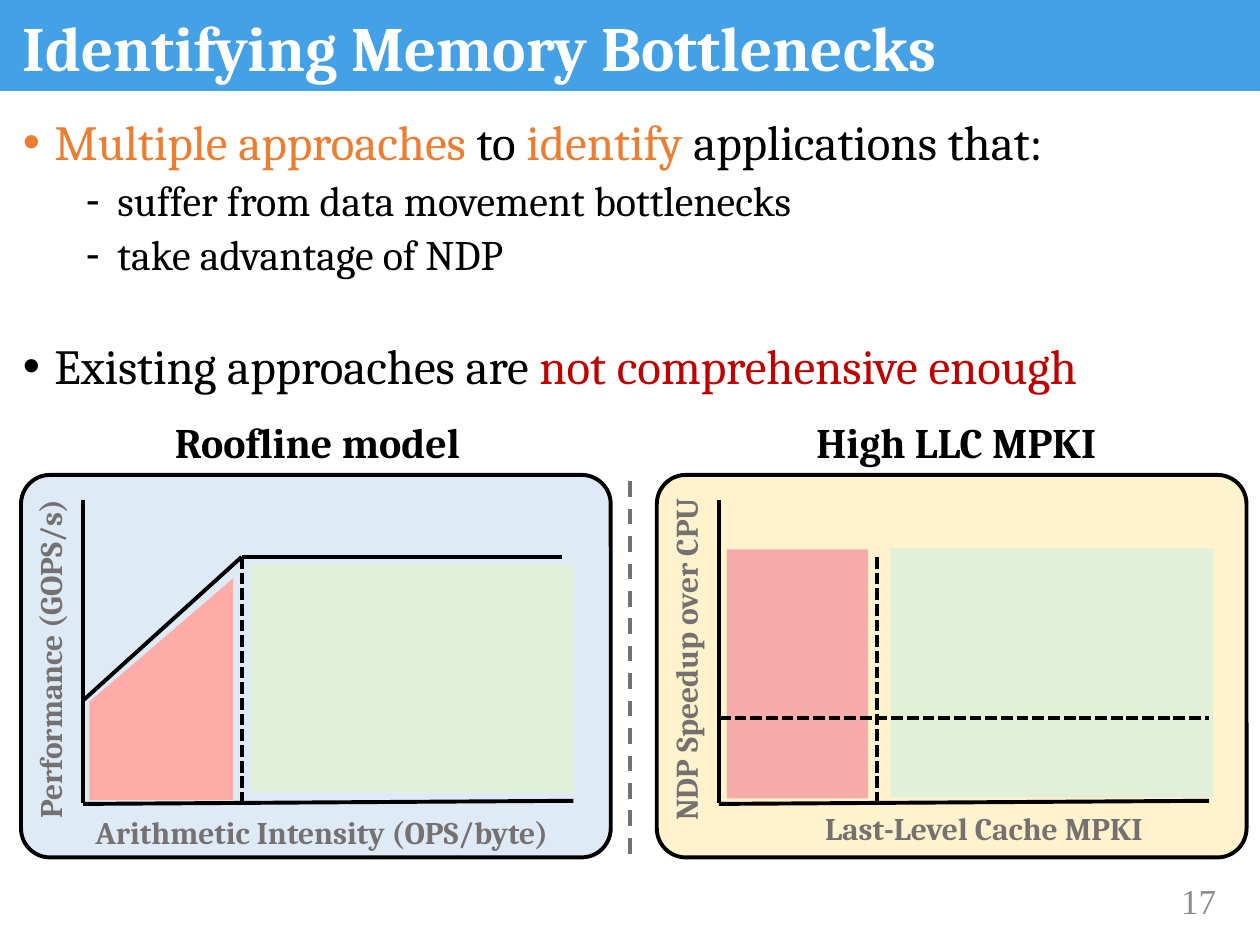
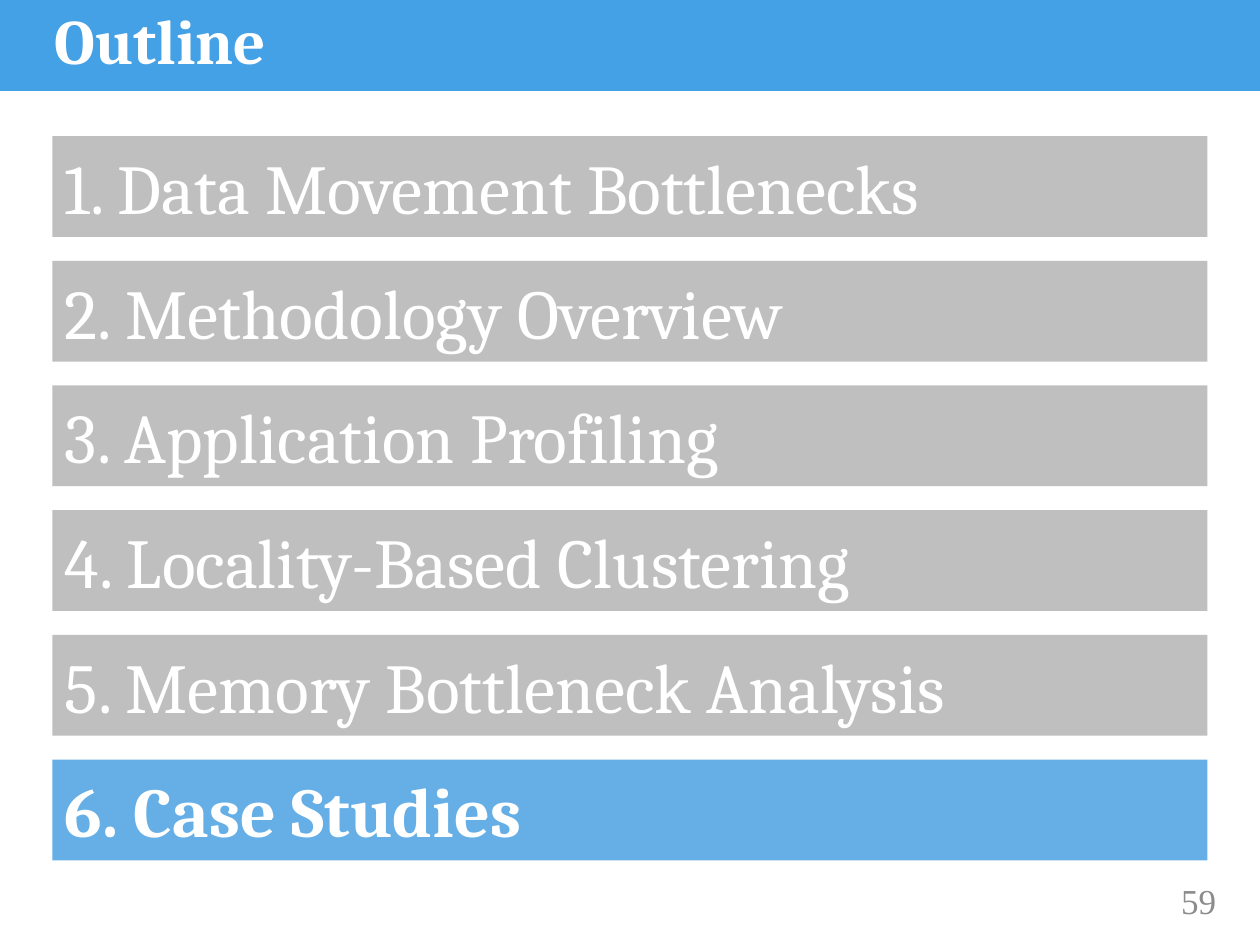
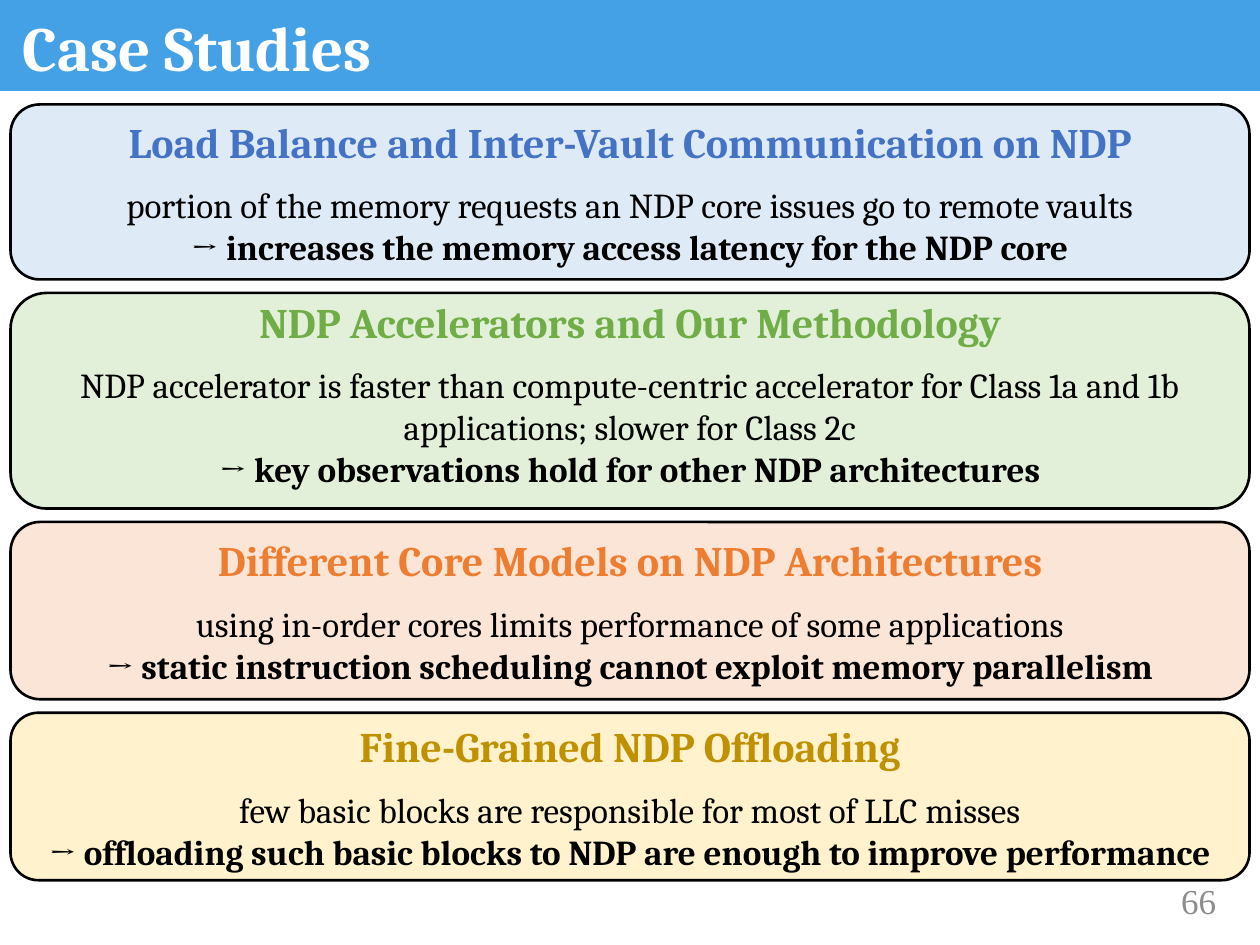
from lxml.etree import SubElement
from pptx import Presentation
from pptx.dml.color import RGBColor
from pptx.enum.dml import MSO_LINE_DASH_STYLE as DASH
from pptx.enum.shapes import MSO_CONNECTOR, MSO_SHAPE as SHAPE
from pptx.enum.text import MSO_ANCHOR as ANCHOR, MSO_AUTO_SIZE as AUTO, PP_ALIGN as ALIGN
from pptx.oxml.ns import qn
from pptx.util import Pt

COLORS = {
    "band": "45A1E6", "white": "FFFFFF", "black": "000000", "page": "8C8C8C",
    "label": "767171", "orange": "ED7D31", "alert": "C00000", "done": "BFBFBF",
    "current": "65AFE6", "blue": "4472C4", "green": "70AD47", "gold": "BF9000",
    "pale_blue": "DEEBF7", "pale_green": "E2F0D9", "pale_orange": "FBE5D6",
    "pale_gold": "FFF2CC", "red": "FFACA9", "rose": "F5ACA9",
}
FONT = "Cambria"

BULLETS = [
    ("•", 28, 18, 0, [("Multiple approaches", "orange"), (" to ", "black"),
                      ("identify", "orange"), (" applications that:", "black")]),
    ("-", 24, 54, 5, [("suffer from data movement bottlenecks", "black")]),
    ("-", 24, 54, 5, [("take advantage of NDP", "black")]),
    ("•", 28, 18, 36, [("Existing approaches are ", "black"),
                       ("not comprehensive enough", "alert")]),
]

PLOT_STEP = 363.3
PLOT_LINES = [
    ((47.5, 286), (47.5, 458.7), None),
    ((47.5, 459.4), (327.6, 457.6), None),
    ((138.1, 318.3), (138.1, 458.7), DASH.SQUARE_DOT),
]
PLOTS = [
    {
        "fill": "pale_blue",
        "title": ("Roofline model", 92.9, 188.6),
        "x_label": ("Arithmetic Intensity (OPS/byte)", 47.5, 460.8, 280.8),
        "y_label": ("Performance (GOPS/s)", 203.8),
        "areas": [
            ("pale_green", [(143.3, 322.6), (327.6, 452.9)]),
            ("red", [(51.1, 401), (133.2, 330.5), (133.2, 457.2), (51.1, 457.2)]),
        ],
        "lines": [
            ((47.5, 400.3), (138.1, 318.3), None),
            ((138.1, 318.3), (321.1, 318.3), None),
        ],
    },
    {
        "fill": "pale_gold",
        "title": ("High LLC MPKI", 96.1, 182.9),
        "x_label": ("Last-Level Cache MPKI", 101.1, 458.7, 201.6),
        "y_label": ("NDP Speedup over CPU", 206),
        "areas": [
            ("pale_green", [(145.7, 313.2), (330, 455.8)]),
            ("rose", [(52.1, 313.9), (132.8, 456.2)]),
        ],
        "lines": [((47.5, 410.4), (327.6, 410.4), DASH.SQUARE_DOT)],
    },
]

OUTLINE = ["Data Movement Bottlenecks", "Methodology Overview", "Application Profiling",
           "Locality-Based Clustering", "Memory Bottleneck Analysis", "Case Studies"]
CURRENT = 6

CASES = [
    ("Load Balance and Inter-Vault Communication on NDP", "blue", "pale_blue", 100, 0,
     "portion of the memory requests an NDP core issues go to remote vaults",
     "increases the memory access latency for the NDP core"),
    ("NDP Accelerators and Our Methodology", "green", "pale_green", 123.2, 9,
     "NDP accelerator is faster than compute-centric accelerator for Class 1a and 1b "
     "applications; slower for Class 2c",
     "key observations hold for other NDP architectures"),
    ("Different Core Models on NDP Architectures", "orange", "pale_orange", 101.3, 0,
     "using in-order cores limits performance of some applications",
     "static instruction scheduling cannot exploit memory parallelism"),
    ("Fine-Grained NDP Offloading", "gold", "pale_gold", 95.7, 0,
     "few basic blocks are responsible for most of LLC misses",
     "offloading such basic blocks to NDP are enough to improve performance"),
]
CASE_TOP, CASE_GAP = 59.7, 7.7


def rgb(name):
    return RGBColor.from_string(COLORS[name])


def add_run(p, text, size, color, bold=False, font=FONT):
    r = p.add_run()
    r.text = text
    r.font.size, r.font.name, r.font.bold = Pt(size), font, bold
    r.font.color.rgb = rgb(color)


def paint(sp, fill, line=None):
    sp.shadow.inherit = False
    sp.fill.solid()
    sp.fill.fore_color.rgb = rgb(fill)
    if line:
        sp.line.color.rgb = rgb("black")
        sp.line.width = Pt(line)
    else:
        sp.line.fill.background()
    return sp


def add_box(s, kind, box, fill, line=None):
    return paint(s.shapes.add_shape(kind, *map(Pt, box)), fill, line)


def add_text(s, box, wrap=True):
    sp = s.shapes.add_textbox(*map(Pt, box))
    sp.text_frame.word_wrap = wrap
    return sp


def add_label(s, text, box, size, color, rotation=0):
    sp = add_text(s, box, wrap=False)
    sp.text_frame.auto_size = AUTO.SHAPE_TO_FIT_TEXT
    sp.rotation = rotation
    add_run(sp.text_frame.paragraphs[0], text, size, color, True)


def add_line(s, start, end, dash=None, color="black"):
    c = s.shapes.add_connector(MSO_CONNECTOR.STRAIGHT, *map(Pt, start + end))
    c.line.color.rgb = rgb(color)
    c.line.width = Pt(2.25)
    if dash:
        c.line.dash_style = dash
    SubElement(c._element.spPr, qn("a:effectLst"))


def add_area(s, fill, points, dx):
    points = [(x + dx, y) for x, y in points]
    if len(points) == 2:
        (x1, y1), (x2, y2) = points
        add_box(s, SHAPE.RECTANGLE, (x1, y1, x2 - x1, y2 - y1), fill)
    else:
        points = [(Pt(x), Pt(y)) for x, y in points]
        fb = s.shapes.build_freeform(*points[0])
        fb.add_line_segments(points[1:])
        paint(fb.convert_to_shape(), fill)


def paragraphs(tf, count):
    return [tf.paragraphs[0]] + [tf.add_paragraph() for _ in range(count - 1)]


def add_slide(prs, title, page, title_box=(6, 6, 708, 58)):
    s = prs.slides.add_slide(prs.slide_layouts[6])
    add_box(s, SHAPE.RECTANGLE, (0, -2, 720, 54), "band")
    p = add_text(s, title_box).text_frame.paragraphs[0]
    p.line_spacing = 0.9
    add_run(p, title, 36, "white", True)
    tf = add_text(s, (624, 500.4, 78, 28.8)).text_frame
    tf.vertical_anchor = ANCHOR.MIDDLE
    p = tf.paragraphs[0]
    p.alignment = ALIGN.RIGHT
    add_run(p, str(page), 20, "page", font="Times New Roman")
    return s


def add_bullets(s):
    tf = add_text(s, (6, 64, 708, 106)).text_frame
    for p, (mark, size, indent, before, runs) in zip(paragraphs(tf, len(BULLETS)), BULLETS):
        pPr = p._p.get_or_add_pPr()
        pPr.set("marL", str(Pt(indent)))
        pPr.set("indent", str(Pt(-18)))
        SubElement(pPr, qn("a:buFont")).set("typeface", "Arial")
        SubElement(pPr, qn("a:buChar")).set("char", mark)
        p.line_spacing = 0.9
        if before:
            p.space_before = Pt(before)
        for text, color in runs:
            add_run(p, text, size, color)


def add_plot(s, plot, dx):
    sp = add_box(s, SHAPE.ROUNDED_RECTANGLE, (12 + dx, 271.4, 337, 218.6), plot["fill"], 2.25)
    sp.adjustments[0] = 0.076
    for fill, points in plot["areas"]:
        add_area(s, fill, points, dx)
    for (x1, y1), (x2, y2), dash in PLOT_LINES + plot["lines"]:
        add_line(s, (x1 + dx, y1), (x2 + dx, y2), dash)
    text, x, w = plot["title"]
    add_label(s, text, (x + dx, 234.7, w, 36), 24, "black")
    text, x, y, w = plot["x_label"]
    add_label(s, text, (x + dx, y, w, 28.8), 18, "label")
    text, w = plot["y_label"]
    add_label(s, text, (28.4 + dx - w / 2, 358.6, w, 28.8), 18, "label", 270)


def bottlenecks(prs):
    s = add_slide(prs, "Identifying Memory Bottlenecks", 17)
    add_bullets(s)
    for i, plot in enumerate(PLOTS):
        add_plot(s, plot, i * PLOT_STEP)
    add_line(s, (360, 275), (360, 488), DASH.DASH, "label")


def outline(prs):
    s = add_slide(prs, "Outline", 59, (24, 2, 648, 70))
    for i, text in enumerate(OUTLINE):
        current = i + 1 == CURRENT
        sp = add_box(s, SHAPE.RECTANGLE, (30, 77.8 + 71.25 * i, 660, 57.6),
                     "current" if current else "done")
        tf = sp.text_frame
        tf.vertical_anchor = ANCHOR.MIDDLE
        tf.paragraphs[0].alignment = ALIGN.LEFT
        add_run(tf.paragraphs[0], f"{i + 1}. {text}", 40, "white", current)


def case_studies(prs):
    s = add_slide(prs, "Case Studies", 66)
    top = CASE_TOP
    for title, color, fill, height, lift, finding, result in CASES:
        sp = add_box(s, SHAPE.ROUNDED_RECTANGLE, (6, top, 708, height), fill, 1.5)
        top += height + CASE_GAP
        tf = sp.text_frame
        tf.word_wrap = True
        tf.vertical_anchor = ANCHOR.MIDDLE
        tf.margin_bottom = Pt(3.6 + lift)
        head, body, end = ps = paragraphs(tf, 3)
        for p in ps:
            p.alignment = ALIGN.CENTER
        body.space_before = Pt(9.6)
        add_run(head, title, 24, color, True)
        add_run(body, finding, 20, "black")
        add_run(end, "→ " + result, 20, "black", True)


def main():
    prs = Presentation()
    prs.slide_width, prs.slide_height = Pt(720), Pt(540)
    bottlenecks(prs)
    outline(prs)
    case_studies(prs)
    prs.save("out.pptx")


if __name__ == "__main__":
    main()
